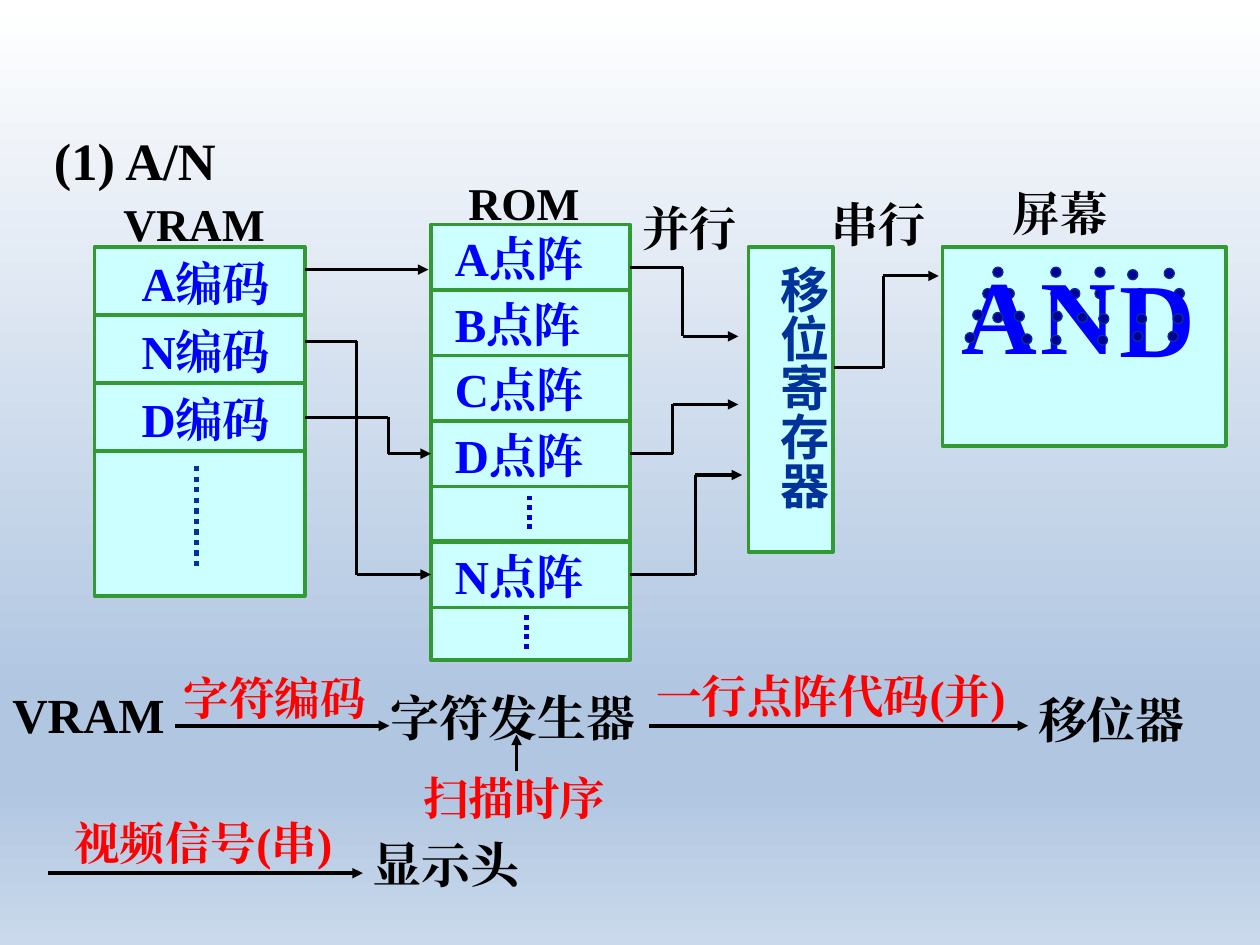
from dataclasses import dataclass

from lxml import etree
from pptx import Presentation
from pptx import util as u
from pptx.dml.color import RGBColor
from pptx.enum import dml, shapes, text
from pptx.oxml import ns


@dataclass(frozen=True)
class Theme:
    latin: str = "Times New Roman"
    han: str = "Noto Sans CJK SC"
    ink: str = "000000"
    blue: str = "0000FF"
    navy: str = "003399"
    dot: str = "000096"
    ellipsis: str = "0000D4"
    red: str = "FF0000"
    cell: str = "CCFFFF"
    green: str = "339933"
    caption: int = 26
    body: int = 27
    stage: int = 28
    heading: int = 30
    glyph: int = 60
    sky: tuple = ((0, "FFFFFF"), (74, "B0C6E1"), (83, "B0C6E1"), (100, "CAD9EB"))


THEME = Theme()


@dataclass(frozen=True)
class Box:
    left: float
    top: float
    width: float
    height: float

    def inner(self, left, top, width, height):
        return Box(self.left + left, self.top + top, width, height)

    def frame(self):
        return [u.Inches(n) for n in (self.left, self.top, self.width, self.height)]


def paint_background(page):
    fill = page.background.fill
    fill.gradient()
    fill.gradient_angle = 270
    stops = page.element.find(".//" + ns.qn("a:gsLst"))
    for stop in list(stops):
        stops.remove(stop)
    for percent, color in THEME.sky:
        stop = etree.SubElement(stops, ns.qn("a:gs"), pos=str(percent * 1000))
        etree.SubElement(stop, ns.qn("a:srgbClr"), val=color)


def write(shape, words, size, color, font=THEME.latin, indent=0.1, spacing=None, align=text.PP_ALIGN.LEFT):
    frame = shape.text_frame
    frame.text = words
    frame.word_wrap = True
    frame.vertical_anchor = text.MSO_ANCHOR.TOP
    frame.margin_left = u.Inches(indent)
    frame.margin_right = 0
    frame.margin_top = u.Inches(0.05) + u.Pt(size * 0.11)
    frame.margin_bottom = 0
    para = frame.paragraphs[0]
    para.alignment = align
    if spacing:
        para.line_spacing = spacing
    span = para.runs[0]
    span.font.size = u.Pt(size)
    span.font.bold = True
    span.font.name = font
    span.font.color.rgb = RGBColor.from_string(color)
    etree.SubElement(span.font._element, ns.qn("a:ea"), typeface=font)


def add_label(page, box, words, size, color=THEME.ink):
    write(page.shapes.add_textbox(*box.frame()), words, size, color)


def add_block(page, box, kind=shapes.MSO_SHAPE.RECTANGLE, fill=THEME.cell, line=THEME.green, weight=2):
    shape = page.shapes.add_shape(kind, *box.frame())
    shape.shadow.inherit = False
    shape.fill.solid()
    shape.fill.fore_color.rgb = RGBColor.from_string(fill)
    shape.line.color.rgb = RGBColor.from_string(line)
    shape.line.width = u.Pt(weight)
    return shape


def add_line(page, start, end, color=THEME.ink, weight=1.75, arrow=False, dotted=False):
    line = page.shapes.add_connector(shapes.MSO_CONNECTOR.STRAIGHT, *map(u.Inches, (*start, *end)))
    line.line.color.rgb = RGBColor.from_string(color)
    line.line.width = u.Pt(weight)
    if dotted:
        line.line.dash_style = dml.MSO_LINE.ROUND_DOT
    if arrow:
        etree.SubElement(line.line._get_or_add_ln(), ns.qn("a:tailEnd"), type="triangle")
    etree.SubElement(line._element.spPr, ns.qn("a:effectLst"))
    return line


def add_route(page, points, source=None, target=None):
    last = len(points) - 2
    lines = [add_line(page, *pair, arrow=i == last) for i, pair in enumerate(zip(points, points[1:]))]
    if source:
        lines[0].begin_connect(source, 3)
    if target:
        lines[-1].end_connect(target, 1)


def add_ellipsis(page, box, left, top, bottom, color, weight):
    x = box.left + left
    add_line(page, (x, box.top + top), (x, box.top + bottom), color, weight, dotted=True)


def add_vram(page, box):
    height = 0.54
    rows = {}
    for i, letter in enumerate("AND"):
        rows[letter] = add_block(page, box.inner(0, 0.49 + i * height, box.width, height))
        write(rows[letter], letter + "编码", THEME.body, THEME.blue, spacing=0.95, align=text.PP_ALIGN.CENTER)
    add_block(page, box.inner(0, 2.11, box.width, box.height - 2.11))
    add_ellipsis(page, box, 0.81, 2.23, 3.06, THEME.navy, 3)
    add_label(page, box.inner(0.13, 0, 1.58, 0.53), "VRAM", THEME.caption)
    return rows


def add_rom(page, box):
    height = 0.52
    tops = [0.48 + i * height for i in range(4)] + [3]
    rows = {}
    for top, shift in ((2.55, 0.78), (3.5, 0.76)):
        add_block(page, box.inner(0, top, box.width, 0.44))
        add_ellipsis(page, box, shift, top + 0.35, top + 0.06, THEME.ellipsis, 2.75)
    for letter, top in zip("ABCDN", tops):
        rows[letter] = add_block(page, box.inner(0, top, box.width, height))
        write(rows[letter], letter + "点阵", THEME.body, THEME.blue, indent=0.19, spacing=0.9)
    add_label(page, box.inner(0.2, 0, 1.27, 0.53), "ROM", THEME.caption)
    return rows


def add_register(page, box):
    shape = add_block(page, box)
    write(shape, "移位寄存器", THEME.stage, THEME.navy, THEME.han)
    frame = shape.text_frame
    frame.margin_left = frame.margin_right = 0
    frame.margin_top = u.Inches(0.15)
    frame._txBody.bodyPr.set("vert", "eaVert")


def add_dots(page, box, places):
    for left, top in places:
        add_block(page, box.inner(left, top, 0.08, 0.08), shapes.MSO_SHAPE.OVAL, THEME.dot, THEME.navy, 0.75)


def add_screen(page, box):
    add_block(page, box, weight=2.25)
    add_label(page, box.inner(0.46, -0.59, 1.25, 0.55), "屏幕", THEME.body)
    behind = [(x, 0.16) for x in (0.4, 0.86, 1.21)]
    behind += [(x, 0.33) for x in (0.32, 0.49, 0.86, 1.01, 1.21, 1.53, 1.84)]
    add_dots(page, box, behind)
    for letter, left, top in (("A", 0.05, -0.12), ("N", 0.68, -0.12), ("D", 1.31, -0.1)):
        add_label(page, box.inner(left, top, 0.73, 1.1), letter, THEME.glyph, THEME.blue)
    front = [(1.76, 0.17), (1.47, 0.18), (0.18, 0.68), (0.63, 0.69), (0.24, 0.5), (0.57, 0.51)]
    front += [(0.4, 0.52), (0.87, 0.51), (1.07, 0.52), (1.24, 0.53), (0.86, 0.7), (1.23, 0.7)]
    front += [(1.51, 0.67), (1.79, 0.67), (1.54, 0.53), (1.83, 0.53)]
    add_dots(page, box, front)


def add_wiring(page, box, vram, rom):
    routes = (
        ([(2.42, 2.14), (3.4, 2.14)], None, None),
        ([(2.42, 2.71), (2.83, 2.71), (2.83, 4.56), (3.42, 4.56)], None, rom["N"]),
        ([(2.42, 3.31), (3.08, 3.31), (3.08, 3.6), (3.42, 3.6)], vram["D"], rom["D"]),
        ([(5, 2.12), (5.42, 2.12), (5.42, 2.67), (5.86, 2.67)], None, None),
        ([(5, 3.6), (5.34, 3.6), (5.34, 3.21), (5.86, 3.21)], rom["D"], None),
        ([(5, 4.56), (5.52, 4.56), (5.52, 3.77), (5.89, 3.77)], rom["N"], None),
        ([(6.62, 2.92), (7.01, 2.92), (7.01, 2.19), (7.45, 2.19)], None, None),
    )
    for points, source, target in routes:
        add_route(page, [(box.left + x, box.top + y) for x, y in points], source, target)
    add_label(page, box.inner(5, 1.49, 1.28, 0.55), "并行", THEME.body)
    add_label(page, box.inner(6.5, 1.46, 1.26, 0.55), "串行", THEME.body)


def add_flow(page, box):
    stages = (("VRAM", 0, 0.14, 1.56), ("字符发生器", 3, 0.16, 2.61), ("移位器", 8.14, 0.18, 1.61), ("显示头", 2.86, 1.33, 1.82))
    signals = (("字符编码", 1.36, 0.03, 2.14), ("扫描时序", 3.26, 0.82, 2.33),
               ("一行点阵代码(并)", 5.11, 0.01, 3.27), ("视频信号(串)", 0.49, 1.18, 2.79))
    for words, left, top, width in stages:
        add_label(page, box.inner(left, top, width, 0.57), words, THEME.stage)
    for words, left, top, width in signals:
        add_label(page, box.inner(left, top, width, 0.53), words, THEME.caption, THEME.red)
    for x1, y1, x2, y2 in ((1.39, 0.56, 3.09, 0.56), (4.1, 0.92, 4.1, 0.63), (5.15, 0.56, 8.16, 0.56), (0.38, 1.73, 2.88, 1.73)):
        add_line(page, (box.left + x1, box.top + y1), (box.left + x2, box.top + y2), weight=2, arrow=True)


def main():
    deck = Presentation()
    deck.slide_width, deck.slide_height = u.Inches(10), u.Inches(7.5)
    page = deck.slides.add_slide(deck.slide_layouts[6])
    paint_background(page)
    add_label(page, Box(0.33, 0.92, 1.74, 0.6), "(1) A/N", THEME.heading)
    vram = add_vram(page, Box(0.75, 1.47, 1.67, 3.26))
    rom = add_rom(page, Box(3.42, 1.3, 1.58, 3.94))
    add_register(page, Box(5.94, 1.96, 0.67, 2.42))
    add_screen(page, Box(7.48, 1.96, 2.25, 1.58))
    add_wiring(page, Box(0, 0, 10, 5.2), vram, rom)
    add_flow(page, Box(0, 5.2, 10, 2))
    deck.save("out.pptx")


if __name__ == "__main__":
    main()
